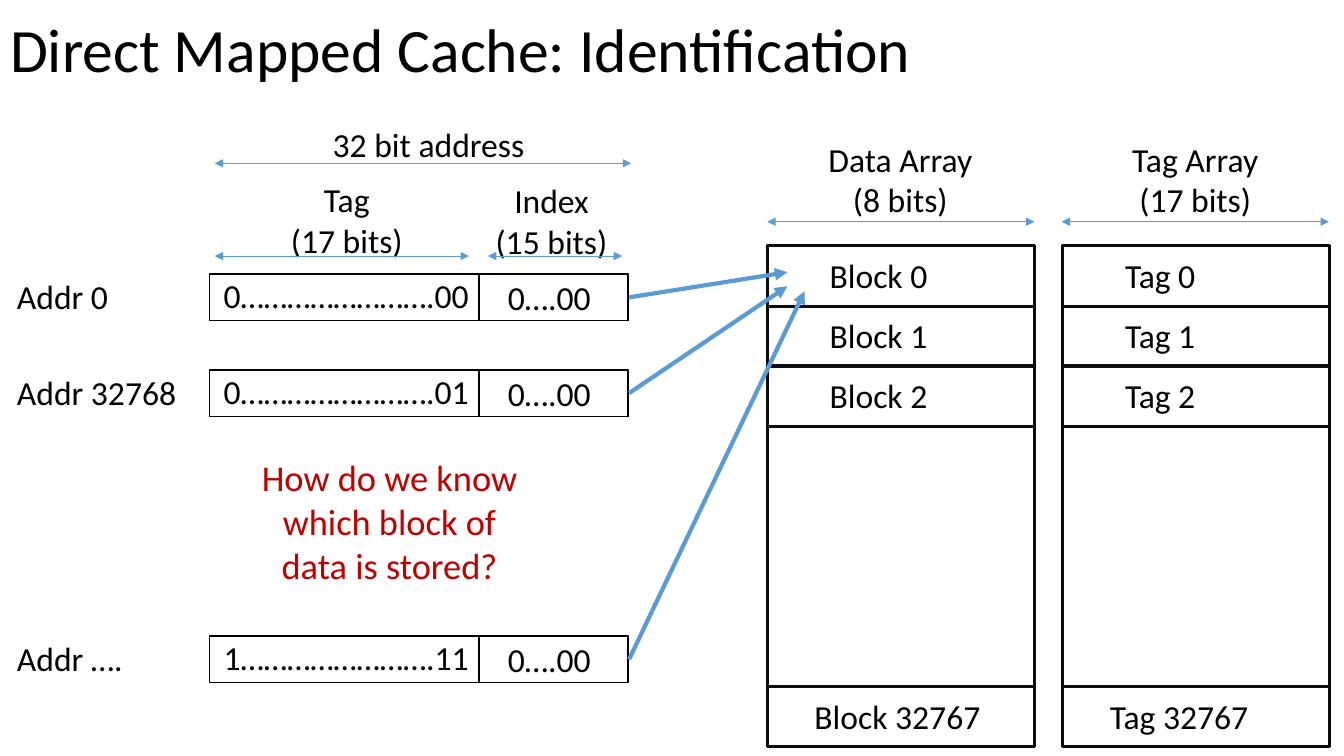
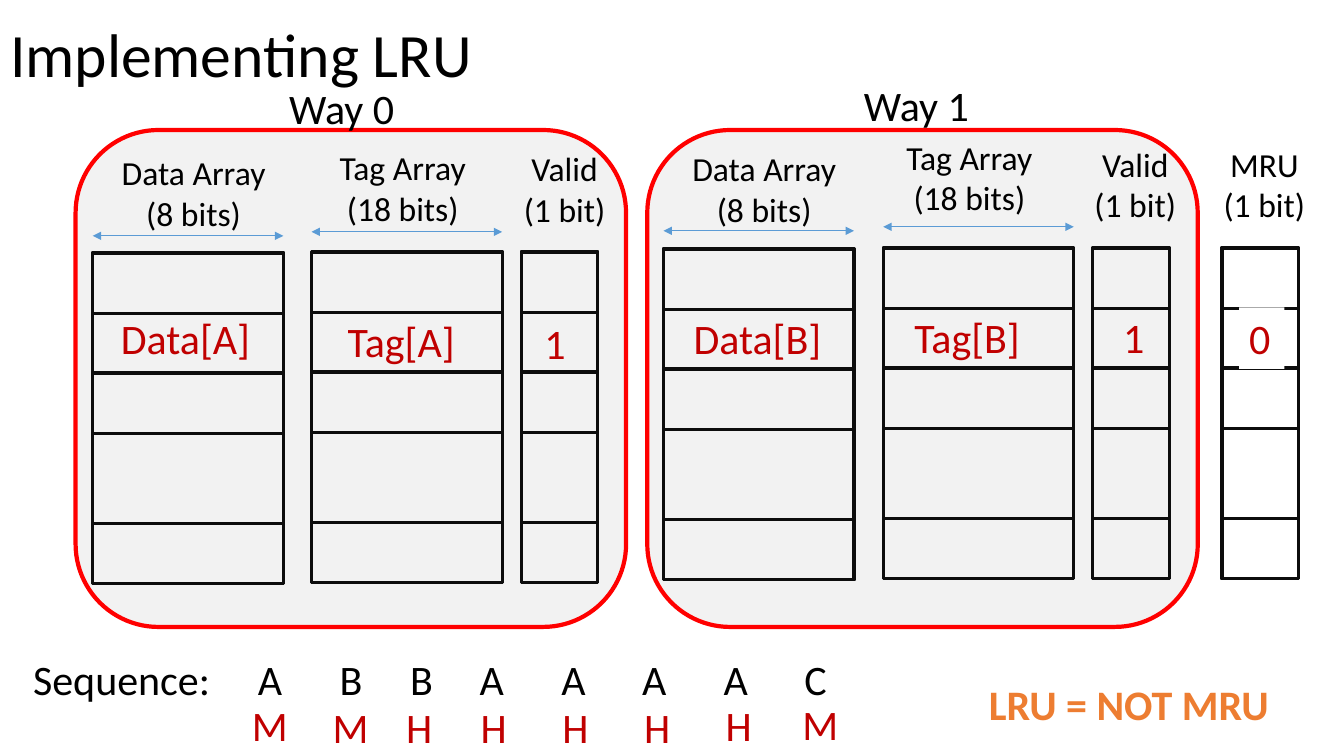
from pptx import Presentation
from pptx.dml.color import RGBColor
from pptx.enum.shapes import MSO_CONNECTOR, MSO_SHAPE
from pptx.enum.text import MSO_ANCHOR, MSO_AUTO_SIZE, PP_ALIGN
from pptx.oxml.ns import qn
from pptx.util import Inches, Pt
from lxml import etree

# Shared style
FONT = "Calibri"
BLACK, EDGE, BLUE, RED = "000000", "0D0D0D", "5B9BD5", "C00000"
FRAME, PANEL, ORANGE, WHITE = "FF0000", "F2F2F2", "ED7D31", "FFFFFF"
ROW_HEIGHT = 0.6

# Slide 1 content
DOTS = "…" * 8 + "."
ADDRESSES = [  # label, tag bits, top, arrow target
    ("Addr 0", f"0{DOTS}00", 2.72, (7.81, 2.7)),
    ("Addr 32768", f"0{DOTS}01", 3.67, (7.81, 2.84)),
    ("Addr ….", f"1{DOTS}11", 6.31, (7.98, 2.89)),
]
FIELDS = [  # lines, text box, span from, span to, span height
    (["32 bit address"], (3.19, 1.18, 2.12, 0.5), 2.13, 6.26, 1.62),
    (["Tag", "(17 bits)"], (2.78, 1.73, 1.32, 0.91), 2.13, 4.65, 2.54),
    (["Index", "(15 bits)"], (4.81, 1.74, 1.32, 0.91), 4.84, 6.17, 2.54),
    (["Data Array", "(8 bits)"], (8.11, 1.33, 1.64, 0.91), 7.61, 10.26, 2.2),
    (["Tag Array", "(17 bits)"], (11.12, 1.33, 1.47, 0.91), 10.53, 13.18, 2.2),
]
CACHE_ARRAYS = [("Block", 7.61), ("Tag", 10.54)]
CACHE_ROWS = [(0, 0, 0.52), (1, 0.6, 0.52), (2, 1.19, 0.52), (32767, 4.37, 0.37)]
QUESTION = "How do we know which block of data is stored?"

# Slide 2 content
WAYS = [("Way 0", 0.75, 2.77, 0.77), ("Way 1", 6.42, 8.47, 0.74)]
DATA, TAG = ["Data Array", "(8 bits)"], ["Tag Array", "(18 bits)"]
VALID, MRU = ["Valid", "(1 bit)"], ["MRU", "(1 bit)"]
LRU_ARRAYS = [  # left, top, width, heading, its box, span height
    (0.92, 2.51, 1.89, DATA, (1.1, 1.46, 1.64, 0.91), 2.34),
    (3.09, 2.5, 1.89, TAG, (3.26, 1.41, 1.47, 0.91), 2.3),
    (5.17, 2.5, 0.76, VALID, (5.09, 1.42, 1.02, 0.91), None),
    (6.58, 2.47, 1.89, DATA, (6.76, 1.42, 1.64, 0.91), 2.29),
    (8.76, 2.46, 1.89, TAG, (8.88, 1.31, 1.47, 0.91), 2.25),
    (10.84, 2.46, 0.76, VALID, (10.75, 1.38, 1.02, 0.91), None),
    (12.12, 2.46, 0.76, MRU, (12.03, 1.38, 1.02, 0.91), None),
]
LRU_ROWS = [0, 0.6, 1.19, 2.68]
STORED = [  # value, left, top, width
    ("Data[A]", 1.1, 3.05, 1.5), ("Tag[A]", 3.35, 3.08, 1.28), ("1", 5.3, 3.1, 0.42),
    ("Data[B]", 6.78, 3.05, 1.48), ("Tag[B]", 8.97, 3.04, 1.26), ("1", 11.04, 3.04, 0.42),
]
SEQUENCE = ["Sequence:", "A", "B", "B", "A", "A", "A", "A", "C"]
SEQUENCE_TABS = [2.23, 3.04, 3.74, 4.43, 5.24, 6.04, 6.85, 7.65]
OUTCOMES = [("M", 2.4, 6.89), ("M", 3.2, 6.91), ("H", 3.93, 6.91), ("H", 4.67, 6.91),
            ("H", 5.48, 6.91), ("H", 6.29, 6.91), ("H", 7.1, 6.89), ("M", 7.86, 6.88)]


def color(value):
    return RGBColor.from_string(value)


def inches(values):
    return [Inches(value) for value in values]


def apply(target, values):
    for key, value in values.items():
        setattr(target, key, value)


def add_slide(title, top):
    slide = deck.slides.add_slide(deck.slide_layouts[5])
    heading = slide.shapes.title
    apply(heading, dict(zip(("left", "top", "width", "height"), inches((0, top, 11.5, 1.45)))))
    frame = heading.text_frame
    frame.text = title
    apply(frame, {"vertical_anchor": MSO_ANCHOR.MIDDLE, "auto_size": MSO_AUTO_SIZE.NONE})
    paragraph = frame.paragraphs[0]
    apply(paragraph, {"alignment": PP_ALIGN.LEFT, "line_spacing": 0.9})
    apply(paragraph.font, {"name": FONT, "size": Pt(44)})
    paragraph.font.color.rgb = color(BLACK)
    return slide


def add_text(slide, lines, box, size=24, ink=BLACK, align=PP_ALIGN.LEFT, wrap=False, bold=False):
    label = slide.shapes.add_textbox(*inches(box))
    frame = label.text_frame
    apply(frame, {"word_wrap": wrap, "auto_size": MSO_AUTO_SIZE.SHAPE_TO_FIT_TEXT})
    frame.text = "\n".join(lines)
    for paragraph in frame.paragraphs:
        paragraph.alignment = align
        apply(paragraph.font, {"name": FONT, "size": Pt(size), "bold": bold})
        paragraph.font.color.rgb = color(ink)
    return label


def add_box(slide, box, edge=EDGE, weight=2.25, fill=None, kind=MSO_SHAPE.RECTANGLE):
    shape = slide.shapes.add_shape(kind, *inches(box))
    shape.shadow.inherit = False
    if fill:
        shape.fill.solid()
        shape.fill.fore_color.rgb = color(fill)
    else:
        shape.fill.background()
    shape.line.color.rgb = color(edge)
    shape.line.width = Pt(weight)


def add_arrow(slide, start, end, weight=0.5, ends=("headEnd", "tailEnd")):
    arrow = slide.shapes.add_connector(MSO_CONNECTOR.STRAIGHT, *inches(start + end))
    arrow.line.color.rgb = color(BLUE)
    arrow.line.width = Pt(weight)
    for name in ends:
        etree.SubElement(arrow.line._get_or_add_ln(), qn(f"a:{name}"), type="triangle")
    etree.SubElement(arrow._element.spPr, qn("a:effectLst"))


def add_heading(slide, lines, box, left, right, span_y):
    add_text(slide, lines, box, align=PP_ALIGN.CENTER)
    if span_y:
        add_arrow(slide, (left, span_y), (right, span_y))


def add_array(slide, left, top, width, height, rows):
    add_box(slide, (left, top, width, height))
    for offset in rows:
        add_box(slide, (left, top + offset, width, ROW_HEIGHT))


deck = Presentation()
deck.slide_width, deck.slide_height = inches((13.33, 7.5))

# Slide 1: address fields, cache arrays and mapping arrows
mapped = add_slide("Direct Mapped Cache: Identification", -0.2)
for field in FIELDS:
    add_heading(mapped, *field)
for name, left in CACHE_ARRAYS:
    add_array(mapped, left, 2.44, 2.65, 4.97, [offset for _, offset, _ in CACHE_ROWS])
    for number, offset, indent in CACHE_ROWS:
        add_text(mapped, [f"{name} {number}"], (left + indent, 2.48 + offset, 2.16, 0.5), wrap=True)
for label, tag, top, target in ADDRESSES:
    add_box(mapped, (2.08, top, 4.15, 0.46), BLACK, 1)
    add_box(mapped, (4.75, top, 1.48, 0.46), BLACK, 1)
    add_text(mapped, [label], (0.07, top - 0.03, 1.8, 0.5), wrap=True)
    add_text(mapped, [tag], (2.12, top - 0.04, 2.66, 0.5))
    add_text(mapped, ["0….00"], (4.94, top - 0.02, 1.03, 0.5))
    add_arrow(mapped, (6.24, top + 0.23), target, 3, ("tailEnd",))
add_text(mapped, [QUESTION], (2.43, 4.47, 2.87, 1.41), 26, RED, PP_ALIGN.CENTER, True)

# Slide 2: two ways with their arrays
lru = add_slide("Implementing LRU", -0.15)
for name, left, name_left, name_top in WAYS:
    add_box(lru, (left, 1.29, 5.46, 4.93), FRAME, 3, PANEL, MSO_SHAPE.ROUNDED_RECTANGLE)
    add_text(lru, [name], (name_left, name_top, 2.16, 0.61), 30, wrap=True)
for left, top, width, heading, box, span_y in LRU_ARRAYS:
    add_array(lru, left, top, width, 3.28, LRU_ROWS)
    add_heading(lru, heading, box, left, left + width, span_y)
for value, left, top, width in STORED:
    add_text(lru, [value], (left, top, width, 0.61), 30, RED)
mru_bit = add_text(lru, ["0"], (12.29, 3.05, 0.45, 0.61), 30, RED, wrap=True)
mru_bit.fill.solid()
mru_bit.fill.fore_color.rgb = color(WHITE)

# Access sequence with hits and misses
sequence = add_text(lru, ["\t".join(SEQUENCE)], (0.23, 6.43, 8.5, 0.61), 30, wrap=True)
properties = sequence.text_frame.paragraphs[0]._p.get_or_add_pPr()
tab_list = etree.Element(qn("a:tabLst"))
for stop in SEQUENCE_TABS:
    etree.SubElement(tab_list, qn("a:tab"), pos=str(Inches(stop)), algn="l")
properties.insert(0, tab_list)
for outcome, left, top in OUTCOMES:
    width = 0.56 if outcome == "M" else 0.46
    add_text(lru, [outcome], (left, top, width, 0.61), 30, RED)
add_text(lru, ["LRU = NOT MRU"], (9.71, 6.68, 3.03, 0.61), 30, ORANGE, bold=True)

deck.save("out.pptx")
